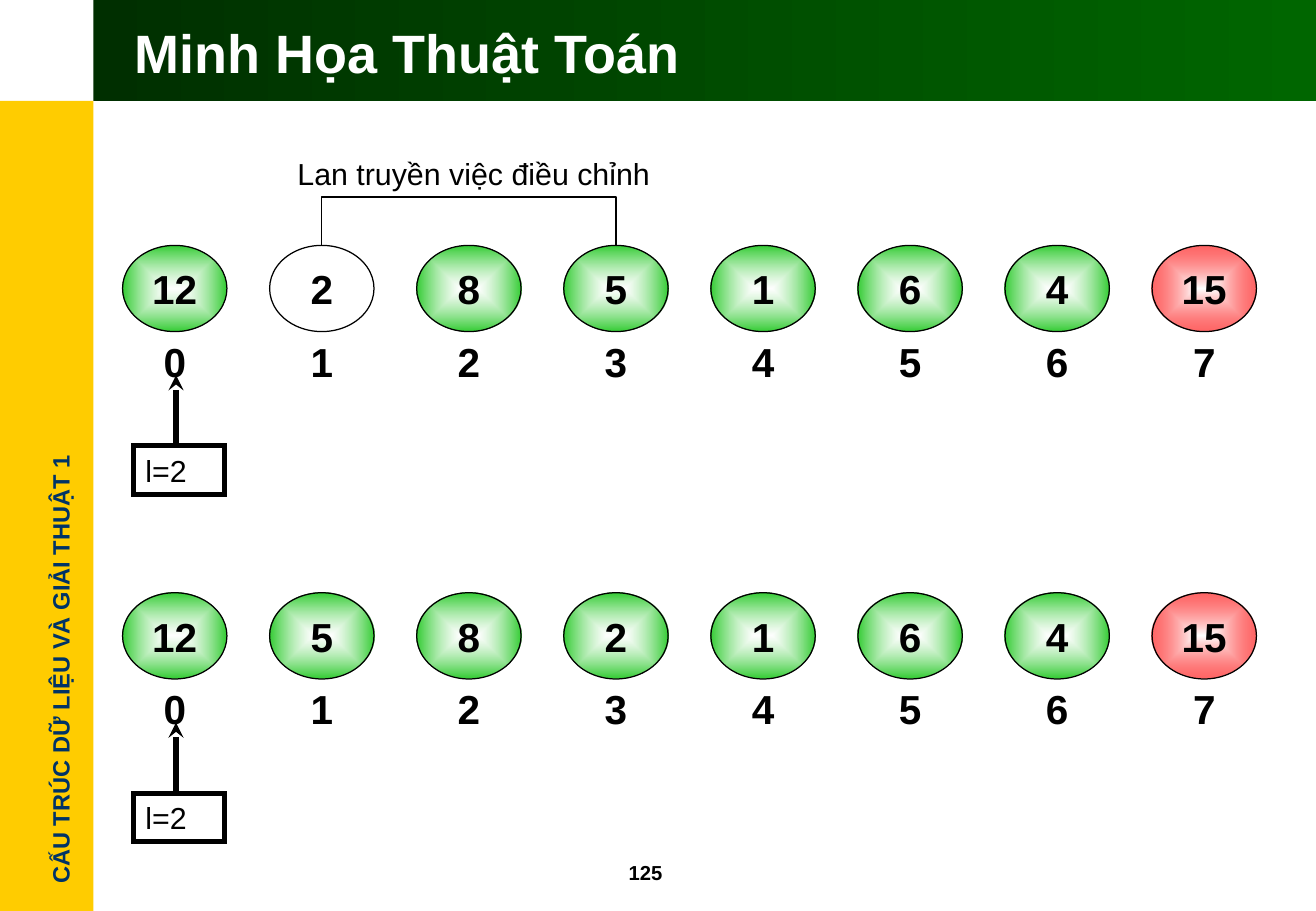
from lxml.etree import SubElement
from pptx import Presentation
from pptx.dml.color import RGBColor
from pptx.enum.shapes import MSO_CONNECTOR, MSO_SHAPE
from pptx.enum.text import MSO_ANCHOR, PP_ALIGN
from pptx.oxml import parse_xml
from pptx.oxml.ns import nsdecls, qn
from pptx.util import Inches, Pt

COLORS = {"black": "000000", "white": "FFFFFF", "yellow": "FFCC00", "navy": "003366",
          "dark_green": "002F00", "green": "006600", "node": "33CC33", "sorted": "FF0000"}
LINEAR = '<a:lin ang="0" scaled="1"/>'
FROM_CENTER = ('<a:path path="rect"><a:fillToRect l="50000" t="50000" '
               'r="50000" b="50000"/></a:path>')
NODE_WIDTH, NODE_HEIGHT = 0.86, 0.71


def color(name):
    return RGBColor.from_string(COLORS[name])


def write(shape, text, size, bold=False, ink="black", align=PP_ALIGN.LEFT, wrap=True):
    frame = shape.text_frame
    frame.word_wrap = wrap
    frame.vertical_anchor = MSO_ANCHOR.MIDDLE
    para = frame.paragraphs[0]
    para.alignment = align
    span = para.add_run()
    span.text = text
    span.font.name = "Arial"
    span.font.size = Pt(size)
    span.font.bold = bold
    span.font.color.rgb = color(ink)


def add_text(page, box, text, size, **style):
    shape = page.shapes.add_textbox(*map(Inches, box))
    write(shape, text, size, **style)
    return shape


def add_figure(page, kind, box, fill=None, line_width=None):
    shape = page.shapes.add_shape(kind, *map(Inches, box))
    shape.shadow.inherit = False
    if fill:
        shape.fill.solid()
        shape.fill.fore_color.rgb = color(fill)
    else:
        shape.fill.background()
    if line_width:
        shape.line.color.rgb = color("black")
        shape.line.width = Pt(line_width)
    else:
        shape.line.fill.background()
    return shape


def set_gradient(shape, stops, direction):
    """Each stop is a colour name and its opacity in percent."""
    marks = "".join(
        f'<a:gs pos="{position}"><a:srgbClr val="{COLORS[name]}">'
        f'<a:alpha val="{opacity * 1000}"/></a:srgbClr></a:gs>'
        for position, (name, opacity) in zip((0, 100000), stops))
    gradient = parse_xml(f'<a:gradFill {nsdecls("a")} rotWithShape="1">'
                         f'<a:gsLst>{marks}</a:gsLst>{direction}</a:gradFill>')
    properties = shape._element.spPr
    properties.replace(properties.find(qn("a:noFill")), gradient)


def style_connector(connector, width):
    connector.line.color.rgb = color("black")
    connector.line.width = Pt(width)
    SubElement(connector._element.spPr, qn("a:effectLst"))


def add_frame(page, width, height):
    """Side band, title band and page number."""
    side, band = 0.77, 0.83
    add_figure(page, MSO_SHAPE.RECTANGLE, (0, band, side, height - band), "yellow")
    course = add_text(page, (-1.37, 5.34, 3.73, 0.34), "CẤU TRÚC DỮ LIỆU VÀ GIẢI THUẬT 1",
                      14, bold=True, ink="navy", wrap=False)
    course.rotation = 270
    header = add_figure(page, MSO_SHAPE.RECTANGLE, (side, 0, width - side, band))
    set_gradient(header, [("dark_green", 100), ("green", 100)], LINEAR)
    add_text(page, (5.08, 7.03, 0.83, 0.3), "125", 12, bold=True)

    # The title lies in front of its band
    title = page.shapes.title
    title.left, title.top, title.width, title.height = map(Inches, (1.01, 0.09, 9.61, 0.67))
    write(title, "Minh Họa Thuật Toán", 32, bold=True, ink="white")
    page.shapes._spTree.append(title._element)


def add_array(page, left, top, values, plain=None):
    """One state of the array: nodes, indices and the marker l."""
    pitch = 8.48 / 7
    nodes = []
    for index, value in enumerate(values):
        box = (left + index * pitch, top, NODE_WIDTH, NODE_HEIGHT)
        node = add_figure(page, MSO_SHAPE.OVAL, box, line_width=0.75)
        if index == plain:
            node.fill.solid()
            node.fill.fore_color.rgb = color("white")
        elif index == len(values) - 1:
            set_gradient(node, [("white", 100), ("sorted", 60)], FROM_CENTER)
        else:
            set_gradient(node, [("white", 60), ("node", 100)], FROM_CENTER)
        write(node, str(value), 24, bold=True, align=PP_ALIGN.CENTER)
        nodes.append(node)
        add_text(page, (box[0], top + 0.6, NODE_WIDTH, NODE_HEIGHT), str(index), 24,
                 bold=True, align=PP_ALIGN.CENTER)

    # Marker l, square-cornered, with its arrow
    marker = add_figure(page, MSO_SHAPE.RECTANGLE, (left + 0.09, top + 1.65, 0.75, 0.4),
                        line_width=3)
    SubElement(marker.line._get_or_add_ln(), qn("a:miter"), lim="800000")
    write(marker, "l=2", 18)
    arrow_x = Inches(left + 0.44)
    arrow = page.shapes.add_connector(MSO_CONNECTOR.STRAIGHT, arrow_x, Inches(top + 1.65),
                                      arrow_x, Inches(top + 1.07))
    style_connector(arrow, 3)
    SubElement(arrow.line._get_or_add_ln(), qn("a:tailEnd"), type="stealth")
    return nodes


def add_swap_bracket(page, first, second, rise, caption):
    """Elbow connector over two nodes, with a caption above it."""
    start, end = first.left + first.width // 2, second.left + second.width // 2
    bracket = page.shapes.add_connector(MSO_CONNECTOR.ELBOW, start, first.top, end, second.top)
    bracket.begin_connect(first, 0)
    bracket.end_connect(second, 0)
    style_connector(bracket, 0.75)

    # A thin frame turned upright, bent outwards by the rise
    span, thin = end - start, Inches(0.01)
    bracket.left, bracket.top = (start + end - thin) // 2, first.top - span // 2
    bracket.width, bracket.height = thin, span
    properties = bracket._element.spPr
    frame = properties.find(qn("a:xfrm"))
    frame.set("rot", str(270 * 60000))
    frame.set("flipH", "1")
    guides = properties.find(qn("a:prstGeom")).get_or_add_avLst()
    bend = -round(Inches(rise) / thin * 100000)
    SubElement(guides, qn("a:gd"), name="adj1", fmla=f"val {bend}")

    # The caption box is wide enough to stay on one line
    add_text(page, (start / Inches(1) - 0.3, first.top / Inches(1) - rise - 0.39, 3.4, 0.4),
             caption, 18)


def main():
    deck = Presentation()
    width, height = 10.84, 7.5
    deck.slide_width, deck.slide_height = Inches(width), Inches(height)
    page = deck.slides.add_slide(deck.slide_layouts[5])
    add_frame(page, width, height)
    nodes = add_array(page, 1.01, 2.02, [12, 2, 8, 5, 1, 6, 4, 15], plain=1)
    add_swap_bracket(page, nodes[1], nodes[3], 0.4, "Lan truyền việc điều chỉnh")
    add_array(page, 1.01, 4.88, [12, 5, 8, 2, 1, 6, 4, 15])
    deck.save("out.pptx")


if __name__ == "__main__":
    main()
